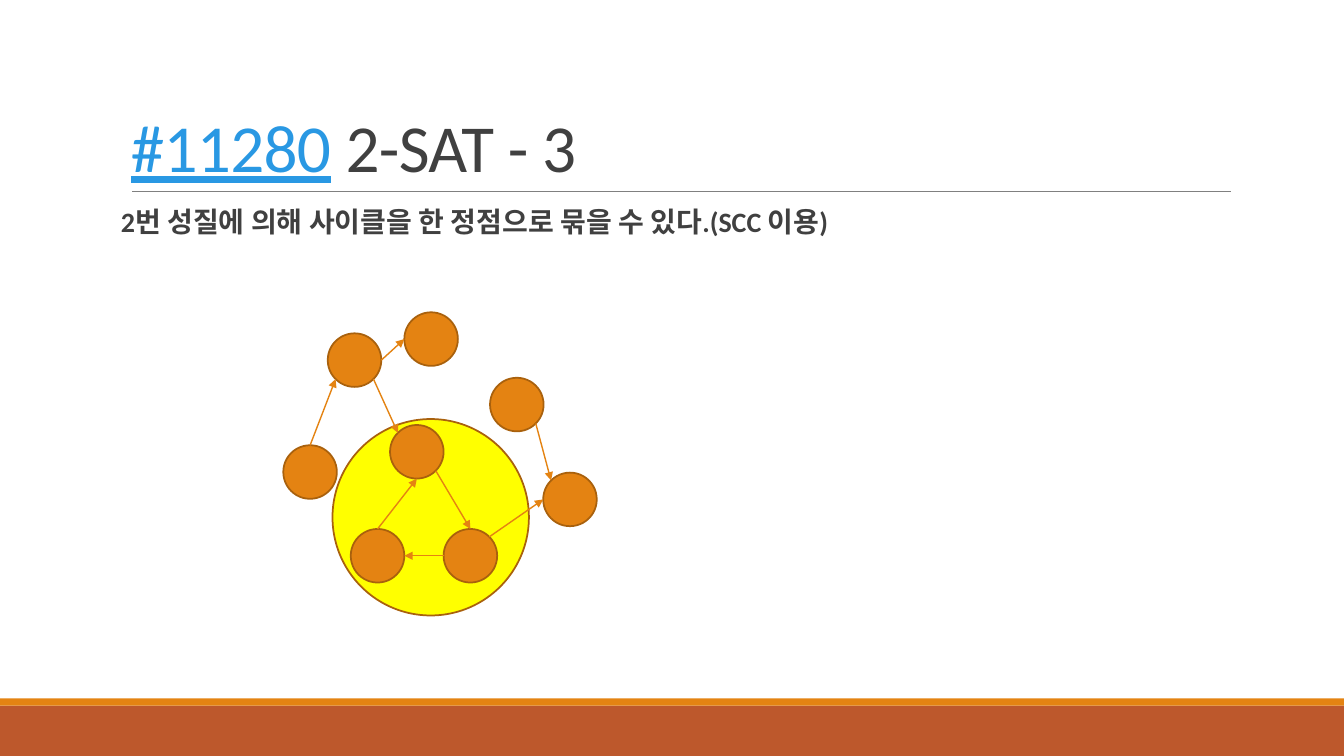
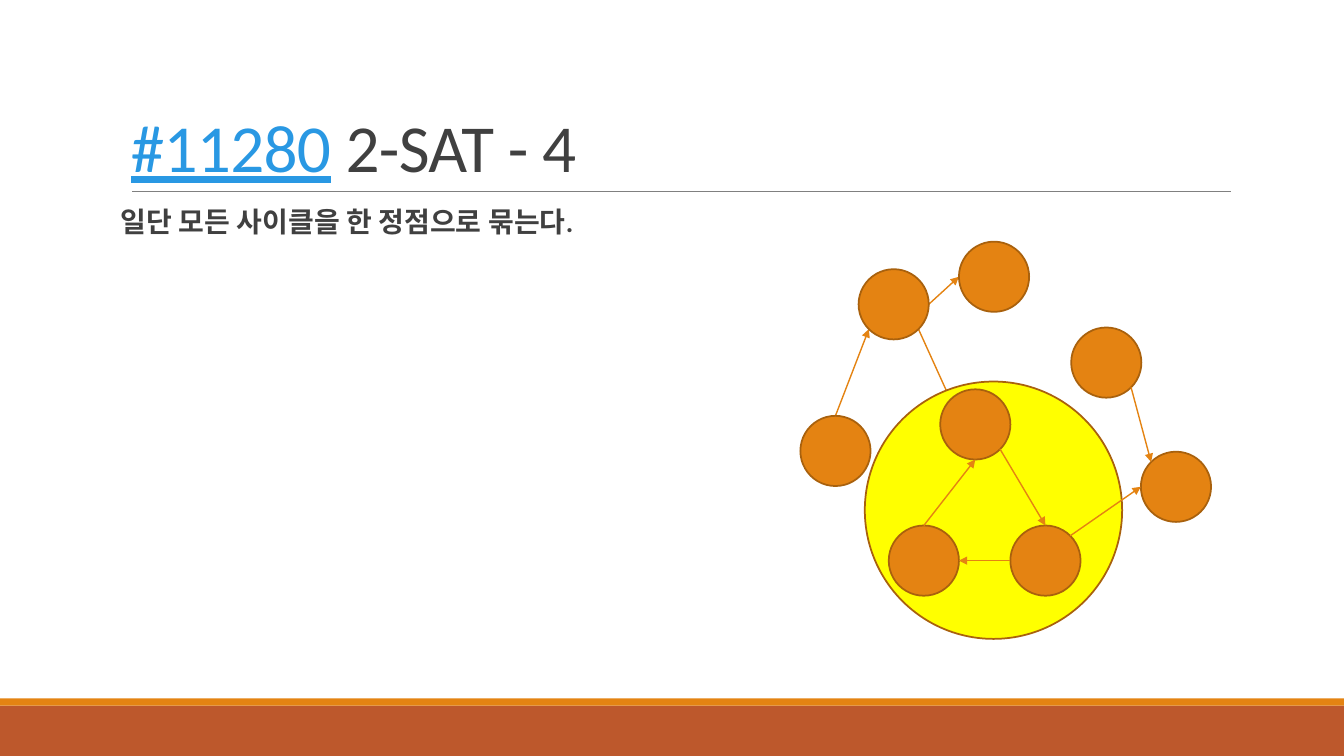
from dataclasses import dataclass
from math import cos, radians, sin

from lxml.etree import SubElement
from pptx import Presentation
from pptx.dml.color import RGBColor
from pptx.enum.shapes import MSO_CONNECTOR as Link, MSO_SHAPE as Kind
from pptx.enum.text import MSO_ANCHOR as Anchor
from pptx.oxml.ns import qn
from pptx.slide import Slide
from pptx.text.text import TextFrame
from pptx.util import Cm, Pt

WHITE = RGBColor(0xFF, 0xFF, 0xFF)
RUST = RGBColor(0xBD, 0x58, 0x2C)
ORANGE = RGBColor(0xE4, 0x83, 0x12)
BROWN = RGBColor(0xA9, 0x61, 0x0D)
YELLOW = RGBColor(0xFF, 0xFF, 0x00)
BLUE = RGBColor(0x29, 0x98, 0xE3)
DARK = RGBColor(0x40, 0x40, 0x40)
GREY = RGBColor(0x80, 0x80, 0x80)
FONT = "Calibri"
WIDTH, HEIGHT = 33.87, 19.05
TOP, TOP_LEFT, LEFT, LOW_LEFT, BOTTOM, LOW_RIGHT, RIGHT, TOP_RIGHT = range(90, 450, 45)


@dataclass(frozen=True)
class Disc:
    left: float
    top: float
    size: float = 1.35
    fill: RGBColor = ORANGE

    def rim(self, angle: int) -> tuple[float, float]:
        half, turn = self.size / 2, radians(angle)
        return self.left + half * (1 + cos(turn)), self.top + half * (1 - sin(turn))


@dataclass(frozen=True)
class Edge:
    start: str
    leave: int
    end: str
    enter: int


@dataclass(frozen=True)
class Page:
    title: str
    body: str
    left: float
    top: float
    scale: float
    under: int


RING = Disc(1.24, 2.69, 4.95, YELLOW)
NODES = {
    "left": Disc(0, 3.35),
    "west": Disc(1.7, 5.46),
    "apex": Disc(2.69, 2.84),
    "east": Disc(4.04, 5.46),
    "right": Disc(5.21, 1.65),
    "top": Disc(3.05, 0),
    "far": Disc(6.55, 4.04),
    "high": Disc(1.12, 0.53),
}
EDGES = [
    Edge("left", TOP, "high", LOW_LEFT),
    Edge("high", RIGHT, "top", LEFT),
    Edge("high", LOW_RIGHT, "apex", TOP_LEFT),
    Edge("west", TOP, "apex", BOTTOM),
    Edge("apex", LOW_RIGHT, "east", TOP),
    Edge("east", LEFT, "west", RIGHT),
    Edge("east", TOP_RIGHT, "far", LEFT),
    Edge("right", LOW_RIGHT, "far", TOP_LEFT),
]
PAGES = [
    Page(" 2-SAT - 3", "2번 성질에 의해 사이클을 한 정점으로 묶을 수 있다.(SCC 이용)", 7.14, 7.87, 1, 0),
    Page(" 2-SAT - 4", "일단 모든 사이클을 한 정점으로 묶는다.", 20.17, 6.09, 1.31, 3),
]


def add_line(slide: Slide, start: tuple[float, float], end: tuple[float, float],
             color: RGBColor, width: float, arrow: bool = False) -> None:
    line = slide.shapes.add_connector(Link.STRAIGHT, *map(Cm, start + end))
    line.line.color.rgb = color
    line.line.width = Pt(width)
    if arrow:
        SubElement(line.line._get_or_add_ln(), qn("a:tailEnd"), type="triangle")
    SubElement(line._element.spPr, qn("a:effectLst"))


def add_band(slide: Slide, top: float, height: float, color: RGBColor) -> None:
    band = slide.shapes.add_shape(Kind.RECTANGLE, 0, Cm(top), Cm(WIDTH), Cm(height))
    band.shadow.inherit = False
    band.fill.solid()
    band.fill.fore_color.rgb = color
    band.line.fill.background()


def add_disc(slide: Slide, disc: Disc) -> None:
    size = Cm(disc.size)
    shape = slide.shapes.add_shape(Kind.OVAL, Cm(disc.left), Cm(disc.top), size, size)
    shape.shadow.inherit = False
    shape.fill.solid()
    shape.fill.fore_color.rgb = disc.fill
    shape.line.color.rgb = BROWN
    shape.line.width = Pt(1.25)


def add_frame(slide: Slide, top: float, height: float) -> TextFrame:
    box = slide.shapes.add_textbox(Cm(3.05), Cm(top), Cm(27.94), Cm(height))
    box.text_frame.word_wrap = True
    return box.text_frame


def add_title(slide: Slide, title: str) -> None:
    frame = add_frame(slide, 0.79, 4.04)
    frame.vertical_anchor = Anchor.BOTTOM
    para = frame.paragraphs[0]
    para.line_spacing = 0.85
    para.font.size = Pt(48)
    para.font.name = FONT
    for text, color, under in (("#11280", BLUE, True), (title, DARK, False)):
        run = para.add_run()
        run.text = text
        run.font.color.rgb = color
        run.font.underline = under
        run._r.get_or_add_rPr().set("spc", "-50")


def add_body(slide: Slide, text: str) -> None:
    frame = add_frame(slide, 5.13, 11.18)
    frame.margin_left = frame.margin_right = 0
    para = frame.paragraphs[0]
    para.text = text
    para.line_spacing = 0.9
    para.space_before = Pt(12)
    para.space_after = Pt(2)
    para.font.size = Pt(20)
    para.font.name = FONT
    para.font.bold = True
    para.font.color.rgb = DARK


def add_graph(slide: Slide, page: Page) -> None:
    def place(disc: Disc) -> Disc:
        return Disc(page.left + disc.left * page.scale, page.top + disc.top * page.scale,
                    disc.size * page.scale, disc.fill)

    nodes = {name: place(disc) for name, disc in NODES.items()}

    def join(edges: list[Edge]) -> None:
        for edge in edges:
            add_line(slide, nodes[edge.start].rim(edge.leave),
                     nodes[edge.end].rim(edge.enter), ORANGE, 1, True)

    join(EDGES[:page.under])
    add_disc(slide, place(RING))
    for node in nodes.values():
        add_disc(slide, node)
    join(EDGES[page.under:])


def add_page(deck: Presentation, page: Page) -> None:
    slide = deck.slides.add_slide(deck.slide_layouts[6])
    slide.background.fill.solid()
    slide.background.fill.fore_color.rgb = WHITE
    add_band(slide, 17.78, 1.27, RUST)
    add_band(slide, 17.6, 0.18, ORANGE)
    add_line(slide, (3.33, 4.83), (31.01, 4.83), GREY, 0.5)
    add_title(slide, page.title)
    add_body(slide, page.body)
    add_graph(slide, page)


def main() -> None:
    deck = Presentation()
    deck.slide_width = Cm(WIDTH)
    deck.slide_height = Cm(HEIGHT)
    for page in PAGES:
        add_page(deck, page)
    deck.save("out.pptx")


main()
